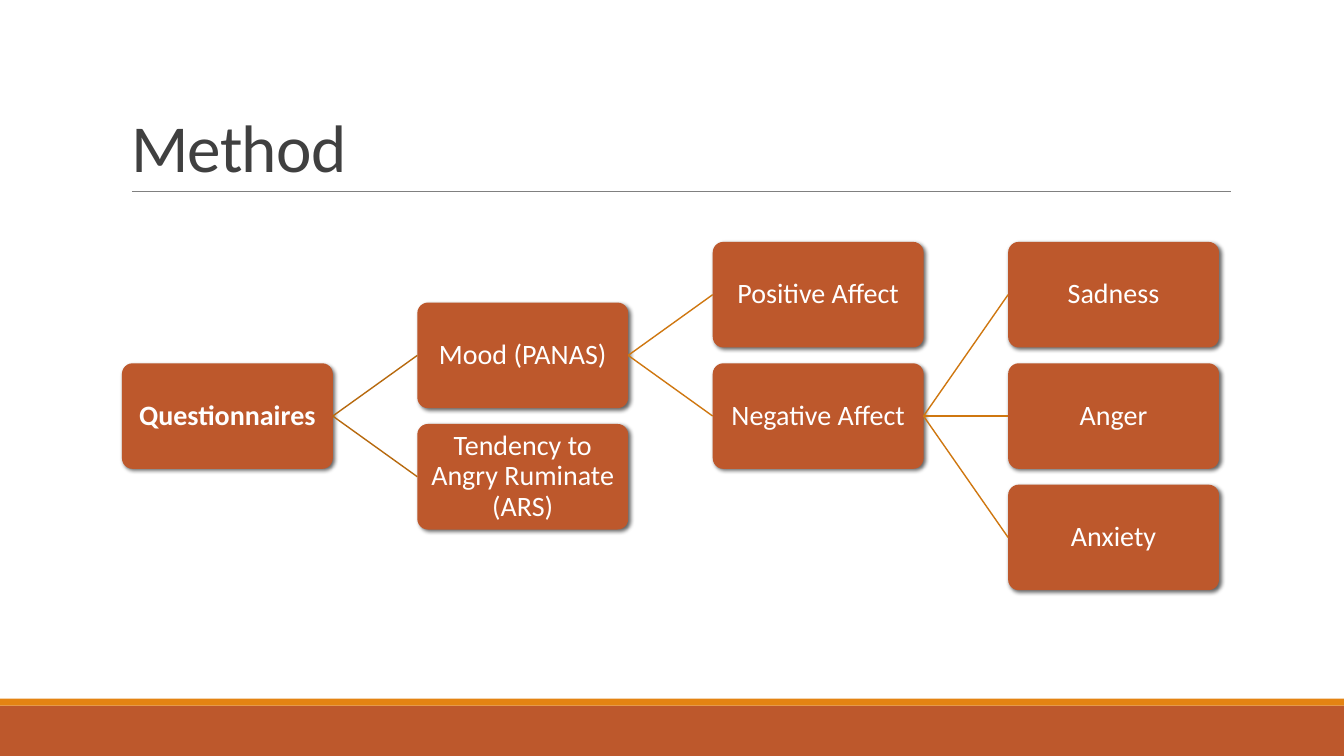
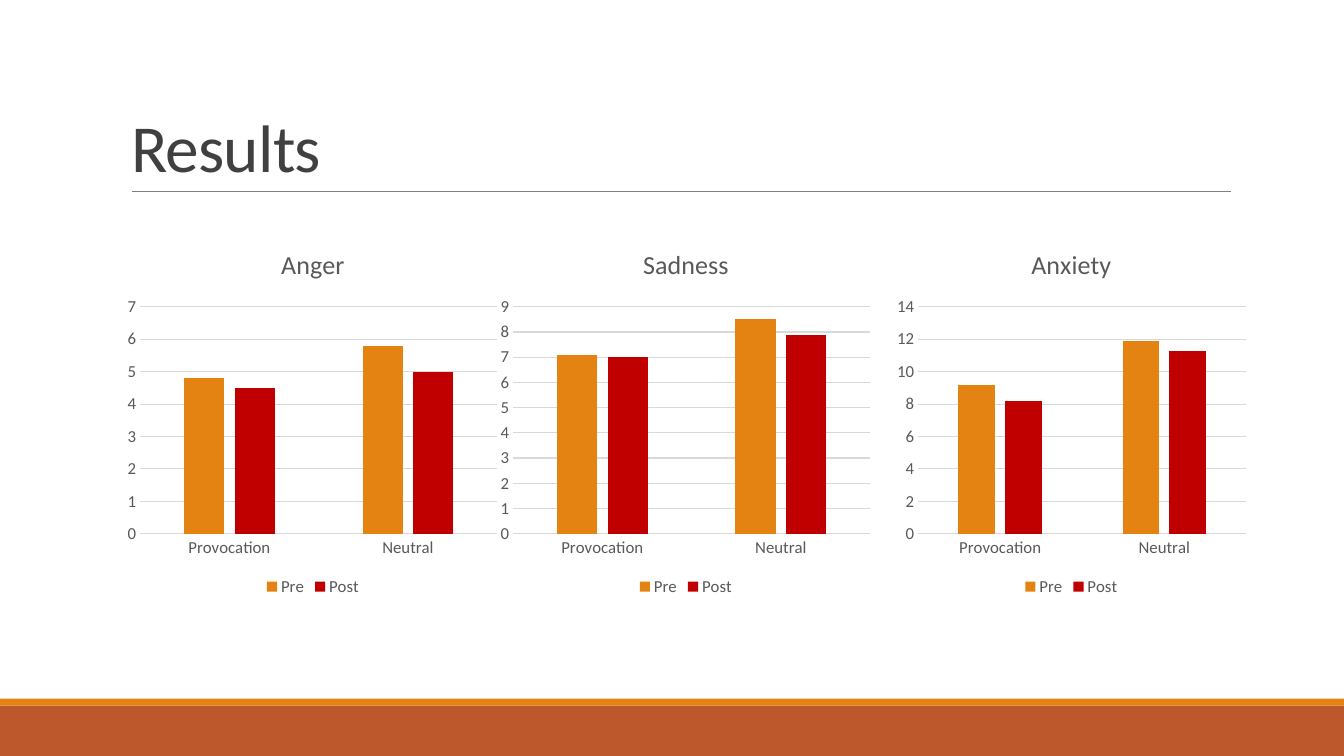
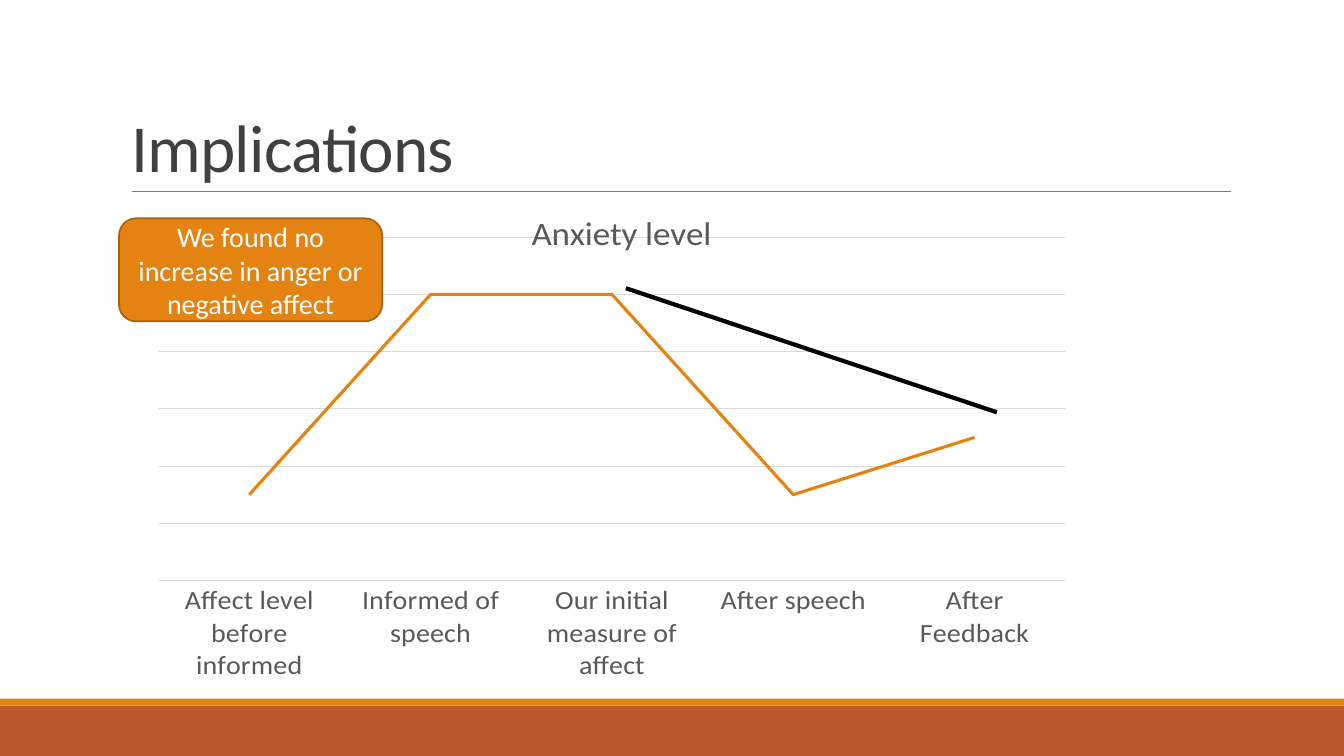
"""Builds three slides on mood questionnaires: method tree, result charts, implications."""
from pptx import Presentation
from pptx import util as u
from pptx.chart.data import CategoryChartData
from pptx.dml.color import RGBColor
from pptx.enum import chart as ch, shapes, text
from pptx.oxml import parse_xml
from pptx.oxml.ns import qn

Pt = u.Pt
W, H = 960, 540
FONT = "Calibri"
RUST, ORANGE, RED = "BD582C", "E48312", "C00000"
WHITE, BLACK, TITLE, LABEL, RULE, GRID = "FFFFFF", "000000", "404040", "595959", "808080", "D9D9D9"
NS_A = 'xmlns:a="http://schemas.openxmlformats.org/drawingml/2006/main"'
NS_C = 'xmlns:c="http://schemas.openxmlformats.org/drawingml/2006/chart"'

BANDS = [((0, 504, W, 36), RUST), ((0, 499, W, 5), ORANGE)]

BOX_W, BOX_H = 150.6, 75.4
TREE_X, TREE_Y, STEP_X, STEP_Y = 87.1, 172.8, 211, 86.7
TREE = [
    ("Questionnaires", 0, 1, None, None),
    ("Mood (PANAS)", 1, 0.5, "Questionnaires", "B7690E"),
    ("Tendency to Angry Ruminate (ARS)", 1, 1.5, "Questionnaires", "B7690E"),
    ("Positive Affect", 2, 0, "Mood (PANAS)", "CF7710"),
    ("Negative Affect", 2, 1, "Mood (PANAS)", "CF7710"),
    ("Sadness", 3, 0, "Negative Affect", "CF7710"),
    ("Anger", 3, 1, "Negative Affect", "CF7710"),
    ("Anxiety", 3, 2, "Negative Affect", "CF7710"),
]

CONDITIONS = ["Provocation", "Neutral"]
RESULTS = [
    ("Anger", 86.4, 274.3, (4.8, 5.8), (4.5, 5), 7, 1, (0.05, 0.93)),
    ("Sadness", 352.8, 274.3, (7.1, 8.5), (7, 7.9), 9, 1, (0.05, 0.93)),
    ("Anxiety", 635, 260.6, (9.2, 11.9), (8.2, 11.3), 14, 2, (0.08, 0.9)),
]

STAGES = ["Affect level before informed", "Informed of speech", "Our initial measure of affect",
          "After speech", "After Feedback"]
LEVELS = [30, 100, 100, 30, 50]
CALLOUT = "We found no increase in anger or negative affect"


def rgb(value):
    return RGBColor.from_string(value)


def apply(obj, **values):
    for name, value in values.items():
        setattr(obj, name, value)


def style(font, size, color, bold=False):
    apply(font, name=FONT, size=Pt(size), bold=bold)
    font.color.rgb = rgb(color)


def stroke(line, color, width):
    line.color.rgb = rgb(color)
    line.width = Pt(width)


def add_box(s, kind, frame, fill, line=None):
    sp = s.shapes.add_shape(kind, *map(Pt, frame))
    sp.shadow.inherit = False
    sp.fill.solid()
    sp.fill.fore_color.rgb = rgb(fill)
    if line:
        stroke(sp.line, *line)
    else:
        sp.line.fill.background()
    return sp


def add_line(s, ends, color, width):
    cx = s.shapes.add_connector(shapes.MSO_CONNECTOR.STRAIGHT, *map(Pt, ends))
    stroke(cx.line, color, width)
    cx._element.spPr.append(parse_xml(f"<a:effectLst {NS_A}/>"))
    return cx


def write(sp, content, bold=False, spacing=1.0, inset=None):
    tf = sp.text_frame
    apply(tf, word_wrap=True, vertical_anchor=text.MSO_ANCHOR.MIDDLE)
    if inset is not None:
        for side in ("left", "right", "top", "bottom"):
            setattr(tf, f"margin_{side}", Pt(inset))
    p = tf.paragraphs[0]
    apply(p, alignment=text.PP_ALIGN.CENTER, line_spacing=spacing)
    r = p.add_run()
    r.text = content
    style(r.font, 20, WHITE, bold)


def add_slide(prs, heading):
    s = prs.slides.add_slide(prs.slide_layouts[5])
    for frame, color in BANDS:
        add_box(s, shapes.MSO_SHAPE.RECTANGLE, frame, color)
    add_line(s, (94.3, 136.8, 879.1, 136.8), RULE, 0.5)
    title = s.shapes.title
    apply(title, left=Pt(86.4), top=Pt(22.6), width=Pt(792), height=Pt(114.2))
    tf = title.text_frame
    apply(tf, word_wrap=True, auto_size=text.MSO_AUTO_SIZE.NONE,
          vertical_anchor=text.MSO_ANCHOR.BOTTOM)
    p = tf.paragraphs[0]
    apply(p, alignment=text.PP_ALIGN.LEFT, line_spacing=0.85)
    r = p.add_run()
    r.text = heading
    style(r.font, 48, TITLE)
    r.font._element.set("spc", "-50")
    return s


def add_tree(s):
    nodes = {}
    for label, col, row, parent, color in TREE:
        frame = (TREE_X + col * STEP_X, TREE_Y + row * STEP_Y, BOX_W, BOX_H)
        sp = nodes[label] = add_box(s, shapes.MSO_SHAPE.ROUNDED_RECTANGLE, frame, RUST)
        sp.adjustments[0] = 0.1
        sp._element.spPr.find(qn("a:effectLst")).append(parse_xml(
            f'<a:outerShdw {NS_A} blurRad="38100" dist="25400" dir="2700000" rotWithShape="0">'
            f'<a:srgbClr val="{BLACK}"><a:alpha val="60000"/></a:srgbClr></a:outerShdw>'))
        write(sp, label, bold=parent is None, spacing=0.9, inset=3)
        if parent:
            cx = add_line(s, (0, 0, 0, 0), color, 1)
            cx.begin_connect(nodes[parent], 3)
            cx.end_connect(sp, 1)


def add_chart(s, kind, frame, heading, size, cats, series, label_size, top, step, area):
    data = CategoryChartData()
    data.categories = cats
    for name, values in series:
        data.add_series(name, values)
    chart = s.shapes.add_chart(kind, *map(Pt, frame), data).chart
    style(chart.font, label_size, LABEL)
    chart.has_title = True
    r = chart.chart_title.text_frame.paragraphs[0].add_run()
    r.text = heading
    style(r.font, size, LABEL)
    chart.plots[0].vary_by_categories = False
    cat, val = chart.category_axis, chart.value_axis
    for axis in (cat, val):
        apply(axis, major_tick_mark=ch.XL_TICK_MARK.NONE, minor_tick_mark=ch.XL_TICK_MARK.NONE)
        style(axis.tick_labels.font, label_size, LABEL)
    stroke(cat.format.line, GRID, 0.75)
    val.format.line.fill.background()
    apply(val, minimum_scale=0, maximum_scale=top, major_unit=step, has_major_gridlines=True)
    stroke(val.major_gridlines.format.line, GRID, 0.75)
    plot_area = chart._chartSpace.chart.plotArea
    for old in plot_area.findall(qn("c:layout")):
        plot_area.remove(old)
    sizes = "".join(f'<c:{k} val="{v}"/>' for k, v in zip("xywh", area))
    plot_area.insert(0, parse_xml(
        f'<c:layout {NS_C}><c:manualLayout><c:layoutTarget val="inner"/>'
        f'<c:xMode val="edge"/><c:yMode val="edge"/>{sizes}</c:manualLayout></c:layout>'))
    return chart


def add_results(s):
    for name, left, width, pre, post, top, step, (x, w) in RESULTS:
        chart = add_chart(s, ch.XL_CHART_TYPE.COLUMN_CLUSTERED, (left, 163.4, width, 265.7), name,
                          18.6, CONDITIONS, [("Pre", pre), ("Post", post)], 12, top, step,
                          (x, 0.21, w, 0.61))
        plot = chart.plots[0]
        apply(plot, gap_width=219, overlap=-27)
        for series, color in zip(plot.series, (ORANGE, RED)):
            series.format.fill.solid()
            series.format.fill.fore_color.rgb = rgb(color)
        chart.has_legend = True
        apply(chart.legend, position=ch.XL_LEGEND_POSITION.BOTTOM, include_in_layout=False)
        style(chart.legend.font, 12, LABEL)


def add_implications(s):
    chart = add_chart(s, ch.XL_CHART_TYPE.LINE, (106.6, 136.8, 674.6, 349.9), "Anxiety level", 25,
                      STAGES, [("Series 1", LEVELS)], 20, 120, 20, (0.01, 0.1, 0.96, 0.75))
    chart.has_legend = False
    chart.value_axis.visible = False
    series = chart.plots[0].series[0]
    series.smooth = False
    series.marker.style = ch.XL_MARKER_STYLE.NONE
    stroke(series.format.line, ORANGE, 2.25)
    add_line(s, (447.1, 205.9, 712.1, 294.5), BLACK, 3)
    sp = add_box(s, shapes.MSO_SHAPE.ROUNDED_RECTANGLE, (85, 156, 188, 73.6), ORANGE,
                 ("A9610D", 1.25))
    write(sp, CALLOUT)


def main():
    prs = Presentation()
    apply(prs, slide_width=Pt(W), slide_height=Pt(H))
    for heading, fill_slide in (("Method", add_tree), ("Results", add_results),
                                ("Implications", add_implications)):
        fill_slide(add_slide(prs, heading))
    prs.save("out.pptx")


if __name__ == "__main__":
    main()
